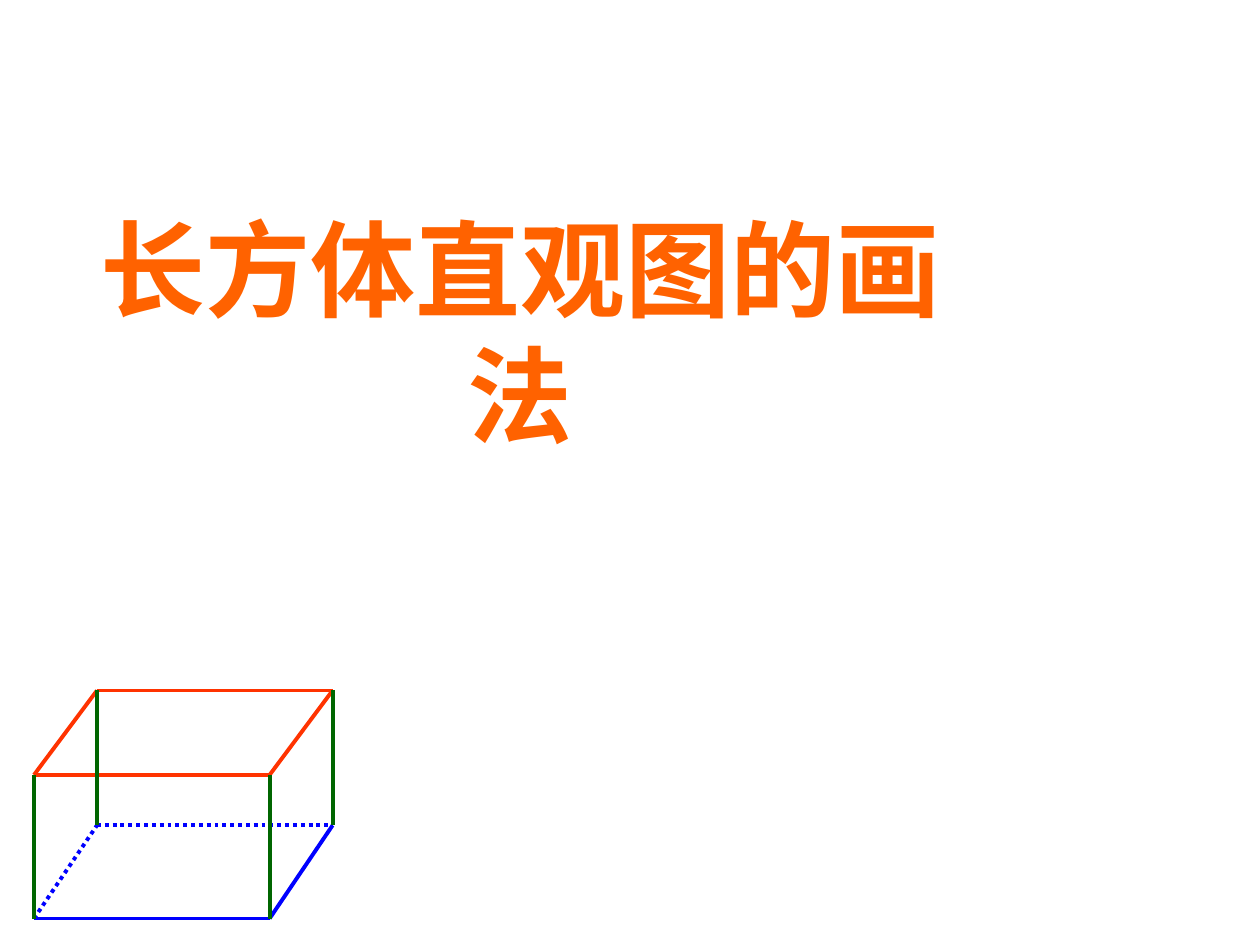
import pptx
import pptx.util
import pptx.dml.color
import pptx.enum.dml
import pptx.enum.shapes
import pptx.enum.text
import pptx.oxml.ns
from lxml import etree

Inches = pptx.util.Inches
RED, GREEN, BLUE, ORANGE = "FF3300", "006600", "0000FF", "FF6200"


def color(value):
    return pptx.dml.color.RGBColor.from_string(value)


def add_element(parent, tag, **attributes):
    return etree.SubElement(parent, pptx.oxml.ns.qn(tag), **attributes)


class SlideWriter:
    font = "Noto Sans CJK SC"
    line_width = pptx.util.Pt(2.25)

    def __init__(self, page):
        self.page = page

    def title(self, text, left, top, width, height, size):
        box = self.page.shapes.title
        box.left, box.top = Inches(left), Inches(top)
        box.width, box.height = Inches(width), Inches(height)
        frame = box.text_frame
        frame.word_wrap = True
        frame.auto_size = pptx.enum.text.MSO_AUTO_SIZE.NONE
        frame.vertical_anchor = pptx.enum.text.MSO_ANCHOR.MIDDLE
        para = frame.paragraphs[0]
        para.alignment = pptx.enum.text.PP_ALIGN.CENTER
        para.line_spacing = pptx.util.Pt(size * 1.2)
        span = para.add_run()
        span.text = text
        span.font.size = pptx.util.Pt(size)
        span.font.bold = True
        span.font.color.rgb = color(ORANGE)
        span.font.name = self.font
        add_element(span.font._element, "a:ea", typeface=self.font)

    def edge(self, group, start, end, stroke, dotted=False):
        line = group.shapes.add_connector(
            pptx.enum.shapes.MSO_CONNECTOR.STRAIGHT,
            *(Inches(value) for value in (*start, *end)))
        line.line.color.rgb = color(stroke)
        line.line.width = self.line_width
        if dotted:
            line.line.dash_style = pptx.enum.dml.MSO_LINE.ROUND_DOT
        add_element(line._element.spPr, "a:effectLst")

    def cuboid(self, left, width, shift, top_back, top_front, bottom_back, bottom_front):
        group = self.page.shapes.add_group_shape()

        def face(back, front):
            return [(left + shift, back), (left + shift + width, back),
                    (left + width, front), (left, front)]

        top = face(top_back, top_front)
        bottom = face(bottom_back, bottom_front)
        for corners, stroke, hidden in ((top, RED, ()), (bottom, BLUE, (0, 3))):
            for index in (0, 2, 1, 3):
                self.edge(group, corners[index], corners[(index + 1) % 4],
                          stroke, index in hidden)
        for upper, lower in zip(top, bottom):
            self.edge(group, upper, lower, GREEN)


def main():
    deck = pptx.Presentation()
    deck.slide_width, deck.slide_height = Inches(10), Inches(7.5)
    page = deck.slides.add_slide(deck.slide_layouts[5])
    page.background.fill.solid()
    page.background.fill.fore_color.rgb = color("FFFFFF")
    writer = SlideWriter(page)
    writer.title("长方体直观图的画法", 0.51, 1.62, 7.24, 2, 60)
    writer.cuboid(left=0.27, width=1.87, shift=0.5, top_back=5.48,
                  top_front=6.15, bottom_back=6.55, bottom_front=7.29)
    deck.save("out.pptx")


if __name__ == "__main__":
    main()
